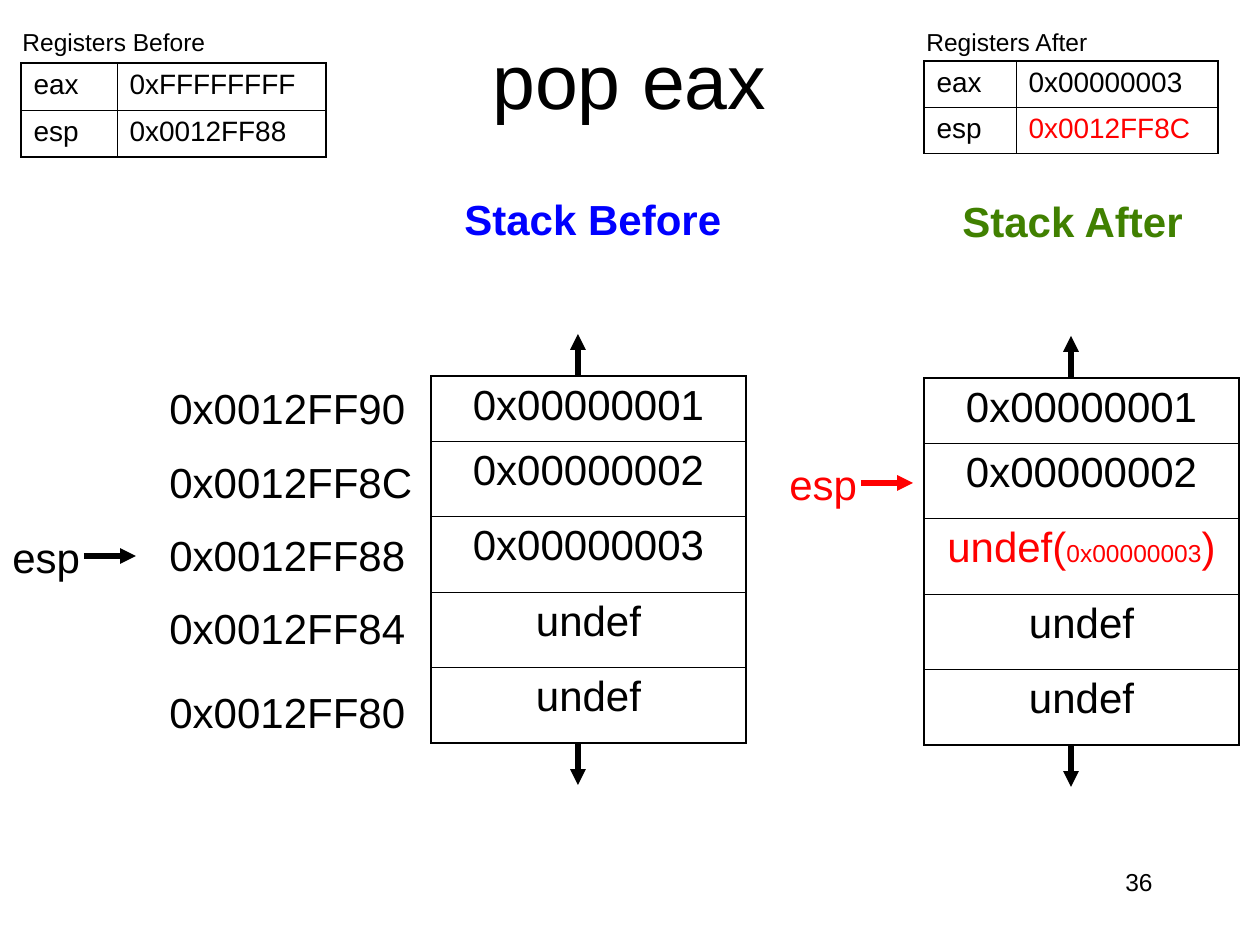
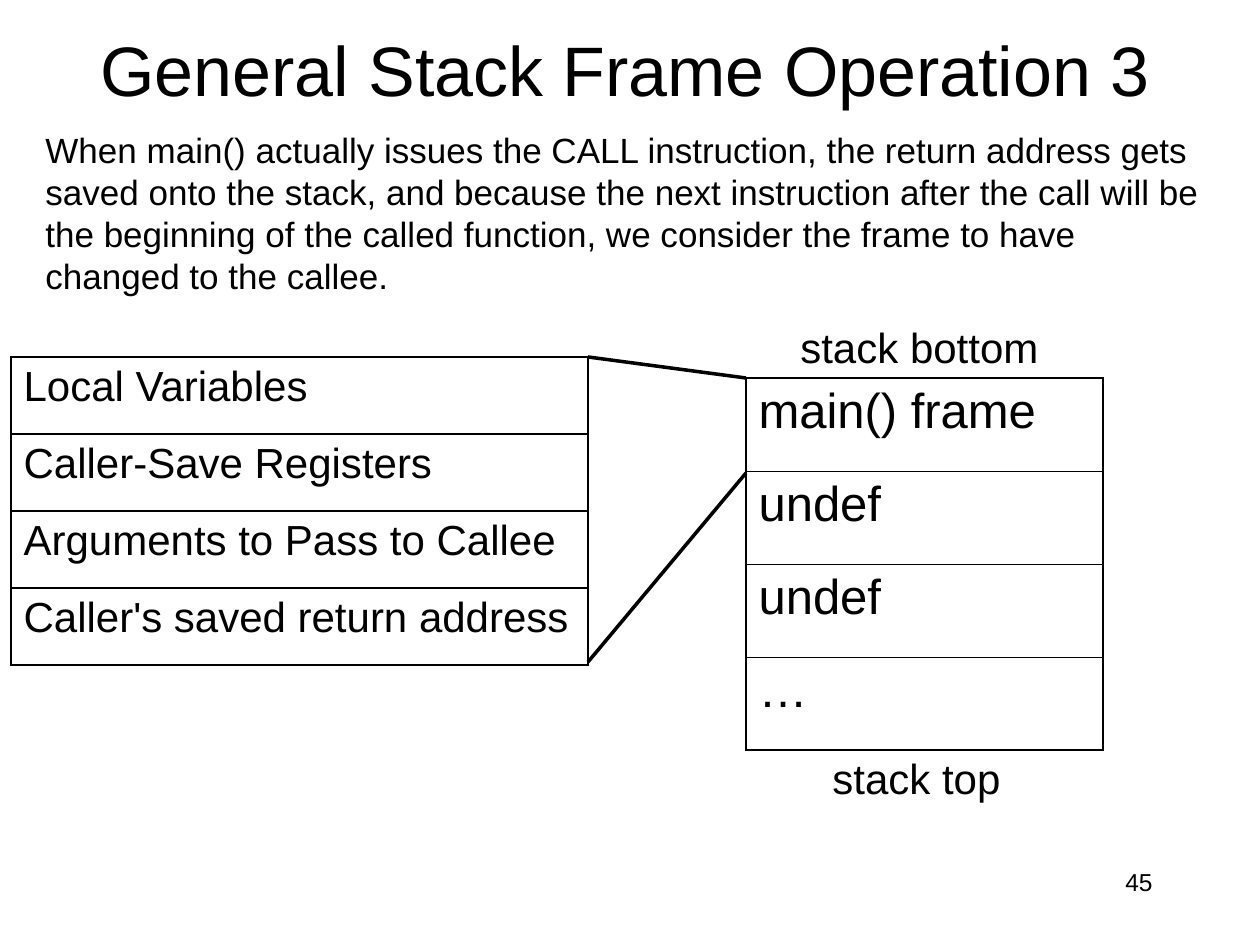
from dataclasses import dataclass
from lxml import etree
from pptx import Presentation, util as u
from pptx.dml import color
from pptx.enum import shapes, text
from pptx.oxml import ns

# Shared look: lengths are px at 126 to the inch
PX = 914400 / 126
FONT = "Arial"
HUES = {"ink": "000000", "red": "FF0000", "blue": "0000FF",
        "green": "408000"}
THICK, THIN = 1.08, 0.45
STACK_ROWS = [65, 75, 76, 75, 76]
ARROW = 42
LEFT, MID, RIGHT = (text.PP_ALIGN.LEFT, text.PP_ALIGN.CENTER,
                    text.PP_ALIGN.RIGHT)


@dataclass
class Span:
    text: str
    hue: str = "ink"
    size: int = 0


@dataclass
class Label:
    text: str
    x: int
    y: int
    w: int
    h: int = 63
    size: int = 24
    hue: str = "ink"
    bold: bool = False
    align: int = LEFT
    wrap: bool = False


@dataclass
class Line:
    x1: int
    y1: int
    x2: int
    y2: int
    hue: str = "ink"
    width: int = 3
    arrow: bool = True


@dataclass
class Grid:
    x: int
    y: int
    cols: list
    rows: list
    cells: list
    size: int = 24
    align: int = LEFT
    inner: float = THIN


def px(n: int) -> int:
    return round(n * PX)


def style(run, size: int, hue: str, bold: bool = False) -> None:
    font = run.font
    font.name, font.size, font.bold = FONT, u.Pt(size), bold
    font.color.rgb = color.RGBColor.from_string(HUES[hue])


def add_label(slide, lab: Label) -> None:
    box = slide.shapes.add_textbox(*map(px, (lab.x, lab.y, lab.w, lab.h)))
    frame = box.text_frame
    frame.text = lab.text
    frame.word_wrap = lab.wrap
    if not lab.wrap:
        frame.auto_size = text.MSO_AUTO_SIZE.SHAPE_TO_FIT_TEXT
    para = frame.paragraphs[0]
    para.alignment = lab.align
    style(para.runs[0], lab.size, lab.hue, lab.bold)


def add_line(slide, line: Line) -> None:
    link = slide.shapes.add_connector(
        shapes.MSO_CONNECTOR.STRAIGHT,
        *map(px, (line.x1, line.y1, line.x2, line.y2)))
    link.line.width = u.Pt(line.width)
    link.line.color.rgb = color.RGBColor.from_string(HUES[line.hue])
    if line.arrow:
        etree.SubElement(link.line._get_or_add_ln(), ns.qn("a:tailEnd"),
                         type="triangle")
    etree.SubElement(link._element.spPr, ns.qn("a:effectLst"))


def add_edge(cell, side: str, width: float) -> None:
    edge = etree.SubElement(cell._tc.get_or_add_tcPr(), ns.qn("a:ln" + side),
                            w=str(u.Pt(width)))
    fill = etree.SubElement(edge, ns.qn("a:solidFill"))
    etree.SubElement(fill, ns.qn("a:srgbClr"), val=HUES["ink"])


def add_grid(slide, grid: Grid) -> None:
    rows, cols = len(grid.rows), len(grid.cols)
    table = slide.shapes.add_table(
        rows, cols, px(grid.x), px(grid.y),
        px(sum(grid.cols)), px(sum(grid.rows))).table
    table.first_row = table.horz_banding = False
    for col, w in zip(table.columns, grid.cols):
        col.width = px(w)
    for r, (row, h) in enumerate(zip(table.rows, grid.rows)):
        row.height = px(h)
        for c, cell in enumerate(row.cells):
            item = grid.cells[r][c]
            spans = [Span(item)] if isinstance(item, str) else item
            para = cell.text_frame.paragraphs[0]
            para.alignment = grid.align
            for span in spans:
                run = para.add_run()
                run.text = span.text
                style(run, span.size or grid.size, span.hue)
            # Outer edges are thick, shared ones take the inner width
            outer = {"L": c == 0, "R": c == cols - 1,
                     "T": r == 0, "B": r == rows - 1}
            for side, rim in outer.items():
                add_edge(cell, side, THICK if rim else grid.inner)
            cell.fill.background()


def add_stack(slide, x: int, y: int, items: list) -> None:
    add_grid(slide, Grid(x, y, [315], STACK_ROWS, [[i] for i in items],
                         align=MID))
    mid, end = x + 147, y + sum(STACK_ROWS)
    add_line(slide, Line(mid, y, mid, y - ARROW))
    add_line(slide, Line(mid, end, mid, end + ARROW))


def add_esp(slide, x: int, y: int, hue: str) -> None:
    add_label(slide, Label("esp", x, y, 93, hue=hue))
    add_line(slide, Line(x + 84, y + 31, x + 136, y + 31, hue))


def new_slide(deck, name: str, x: int, y: int, w: int, size: int, page: int):
    slide = deck.slides.add_slide(deck.slide_layouts[5])
    title = slide.shapes.title
    title.left, title.top, title.width, title.height = map(px, (x, y, w, 158))
    frame = title.text_frame
    frame.text = name
    frame.auto_size = text.MSO_AUTO_SIZE.NONE
    frame.vertical_anchor = text.MSO_ANCHOR.MIDDLE
    frame.paragraphs[0].alignment = MID
    style(frame.paragraphs[0].runs[0], size, "ink")
    add_label(slide, Label(str(page), 903, 861, 262, size=14, align=RIGHT,
                           wrap=True))
    return slide


def pop_slide(deck) -> None:
    slide = new_slide(deck, "pop eax", 94, 0, 1071, 44, 36)
    # Stacks
    head = ["0x00000001", "0x00000002"]
    tail = ["undef", "undef"]
    popped = [Span("undef(", "red"), Span("0x00000003", "red", 14),
              Span(")", "red")]
    add_stack(slide, 431, 376, head + ["0x00000003"] + tail)
    add_stack(slide, 924, 378, head + [popped] + tail)
    add_label(slide, Label("Stack Before", 452, 187, 282, hue="blue",
                           bold=True))
    add_label(slide, Label("Stack After", 950, 189, 247, hue="green",
                           bold=True))
    # Addresses and stack pointers; the one ending in a letter is wider
    for low, y in zip(("90", "8C", "88", "84", "80"),
                      (376, 450, 523, 596, 680)):
        wide = 261 if low.isdigit() else 270
        add_label(slide, Label("0x0012FF" + low, 157, y, wide))
    add_esp(slide, 0, 525, "ink")
    add_esp(slide, 777, 452, "red")
    # Registers
    add_label(slide, Label("Registers Before", 10, 21, 208, 43, 14))
    add_label(slide, Label("Registers After", 914, 21, 188, 43, 14))
    add_grid(slide, Grid(21, 63, [96, 209], [47, 47],
                         [["eax", "0xFFFFFFFF"], ["esp", "0x0012FF88"]], 16))
    add_grid(slide, Grid(924, 61, [92, 202], [46, 46],
                         [["eax", "0x00000003"],
                          ["esp", [Span("0x0012FF8C", "red")]]], 16))


def frame_slide(deck) -> None:
    slide = new_slide(deck, "General Stack Frame Operation 3",
                      63, -10, 1124, 40, 45)
    add_label(slide, Label(
        "When main() actually issues the CALL instruction, the return address "
        "gets saved onto the stack, and because the next instruction after "
        "the call will be the beginning of the called function, we consider "
        "the frame to have changed to the callee.",
        33, 122, 1181, 164, 20, wrap=True))
    # Whole stack
    parts = ["main() frame", "undef", "undef", "…"]
    add_grid(slide, Grid(746, 378, [357], [93] * 4, [[p] for p in parts], 28))
    add_label(slide, Label("stack bottom", 788, 315, 263))
    add_label(slide, Label("stack top", 820, 746, 193))
    # Frame of main() drawn larger
    parts = ["Local Variables", "Caller-Save Registers",
             "Arguments to Pass to Callee", "Caller's saved return address"]
    add_grid(slide, Grid(11, 357, [577], [77] * 4, [[p] for p in parts],
                         inner=THICK))
    for y1, y2 in ((357, 378), (662, 473)):
        add_line(slide, Line(588, y1, 746, y2, width=2, arrow=False))


def main() -> None:
    deck = Presentation()
    deck.slide_width, deck.slide_height = px(1260), px(945)
    pop_slide(deck)
    frame_slide(deck)
    deck.save("out.pptx")


if __name__ == "__main__":
    main()
